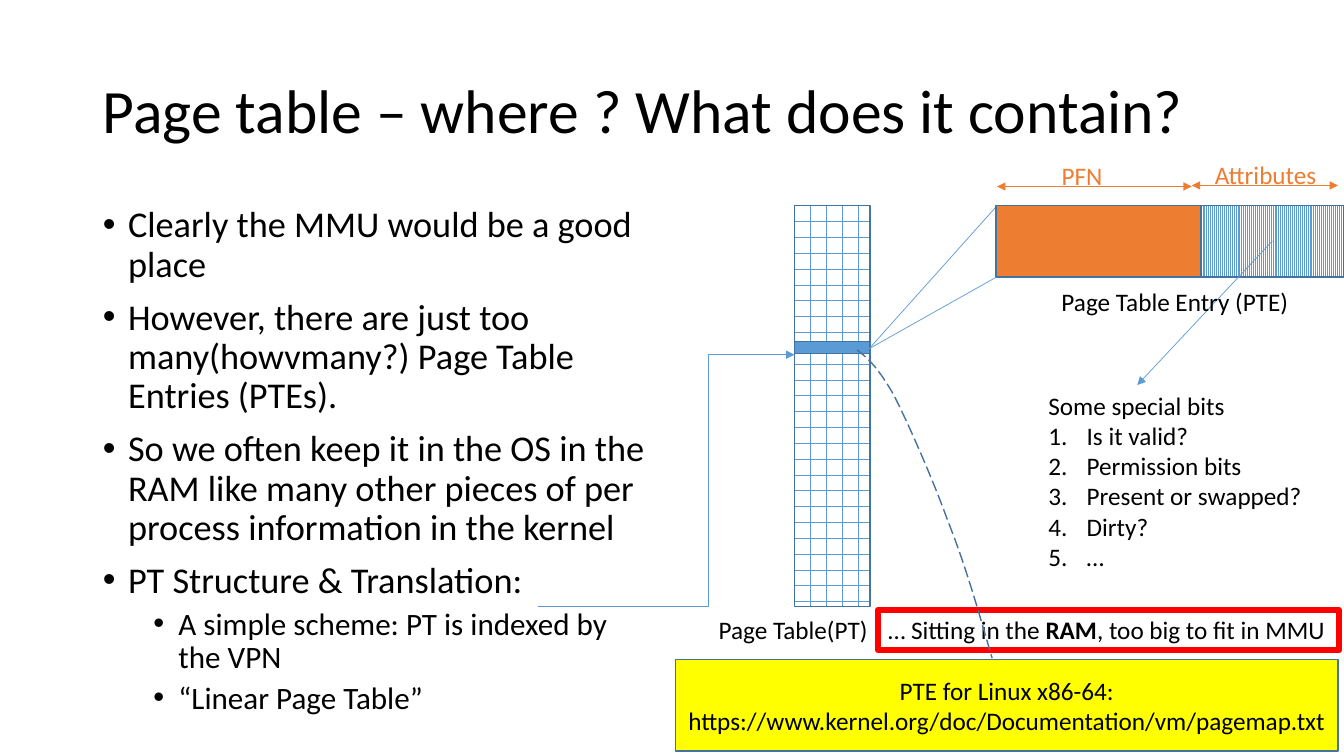
from dataclasses import dataclass

from lxml import etree
from pptx import Presentation
from pptx.dml.color import RGBColor
from pptx.enum import dml, shapes, text
from pptx.oxml import ns
from pptx.util import Inches, Pt


@dataclass(frozen=True)
class Theme:
    font: str = "Calibri"
    black: str = "000000"
    white: str = "FFFFFF"
    blue: str = "5B9BD5"
    outline: str = "43739E"
    orange: str = "ED7D31"
    yellow: str = "FFFF00"
    red: str = "FF0000"
    title: float = 44
    bullet: float = 25.9
    sub_bullet: float = 22.2
    label: float = 18
    thin: float = 0.5
    border: float = 1
    heavy: float = 4.5


THEME = Theme()
BULLETS = [
    (0, "Clearly the MMU would be a good place"),
    (0, "However, there are just too many(howvmany?) Page Table Entries (PTEs)."),
    (0, "So we often keep it in the OS in the RAM like many other pieces of per "
        "process information in the kernel"),
    (0, "PT Structure & Translation:"),
    (1, "A simple scheme: PT is indexed by the VPN"),
    (1, "“Linear Page Table”"),
]
SPECIAL_BITS = ["Is it valid?", "Permission bits", "Present or swapped?", "Dirty?", "…"]
LINK_CURVE = [
    ((8.5, 3.47), (8.6, 3.55), (8.7, 3.63), (8.86, 3.91)),
    ((8.86, 3.91), (9.01, 4.2), (9.25, 4.75), (9.41, 5.19)),
    ((9.41, 5.19), (9.58, 5.62), (9.71, 6.08), (9.84, 6.53)),
]


def inches(values):
    return [Inches(value) for value in values]


def add_xml(parent, tag, **attributes):
    return etree.SubElement(parent, ns.qn(tag), **attributes)


def write(paragraph, wording, size=THEME.label, color=THEME.black, bold=False,
          align=text.PP_ALIGN.LEFT):
    paragraph.alignment = align
    run = paragraph.add_run()
    run.text = wording
    run.font.name = THEME.font
    run.font.size = Pt(size)
    run.font.bold = bold
    run.font.color.rgb = RGBColor.from_string(color)


def set_marker(paragraph, tag, indent, hanging, **attributes):
    """Give a paragraph a bullet or number with a hanging indent in inches."""
    properties = paragraph._p.get_or_add_pPr()
    properties.set("marL", str(Inches(indent)))
    properties.set("indent", str(-Inches(hanging)))
    if tag == "a:buChar":
        add_xml(properties, "a:buFont", typeface="Arial")
    add_xml(properties, tag, **attributes)


def next_paragraph(frame, index):
    return frame.add_paragraph() if index else frame.paragraphs[0]


def place(shape, box):
    shape.left, shape.top, shape.width, shape.height = inches(box)


def set_line(line, color, width):
    line.color.rgb = RGBColor.from_string(color)
    line.width = Pt(width)


def add_label(slide, box, wording, color=THEME.black):
    label = slide.shapes.add_textbox(*inches(box))
    frame = label.text_frame
    frame.word_wrap = False
    write(frame.paragraphs[0], wording, color=color)
    return frame


def add_box(slide, box, fill=None, pattern=None, line=THEME.outline, width=THEME.border):
    rectangle = slide.shapes.add_shape(shapes.MSO_SHAPE.RECTANGLE, *inches(box))
    rectangle.shadow.inherit = False
    set_line(rectangle.line, line, width)
    if pattern:
        rectangle.fill.patterned()
        rectangle.fill.pattern = pattern
        rectangle.fill.fore_color.rgb = RGBColor.from_string(fill)
        rectangle.fill.back_color.rgb = RGBColor.from_string(THEME.white)
    elif fill:
        rectangle.fill.solid()
        rectangle.fill.fore_color.rgb = RGBColor.from_string(fill)
    else:
        rectangle.fill.background()
    return rectangle


def add_line(slide, start, end, color=THEME.blue, arrows=(), bend=None):
    """Draw a connector; bend is the elbow's place in thousandths of a percent."""
    kind = shapes.MSO_CONNECTOR.ELBOW if bend else shapes.MSO_CONNECTOR.STRAIGHT
    connector = slide.shapes.add_connector(kind, *inches(start + end))
    set_line(connector.line, color, THEME.thin)
    for arrow in arrows:
        add_xml(connector.line._get_or_add_ln(), arrow, type="triangle")
    properties = connector._element.spPr
    add_xml(properties, "a:effectLst")
    if bend:
        adjustments = properties.find(ns.qn("a:prstGeom")).find(ns.qn("a:avLst"))
        add_xml(adjustments, "a:gd", name="adj1", fmla=f"val {bend}")


def add_dashed_curve(slide, segments, steps=8):
    def point(segment, t):
        weights = ((1 - t) ** 3, 3 * t * (1 - t) ** 2, 3 * t * t * (1 - t), t ** 3)
        return tuple(Inches(sum(w * p[axis] for w, p in zip(weights, segment)))
                     for axis in (0, 1))

    points = [point(segment, step / steps)
              for segment in segments for step in range(1, steps + 1)]
    builder = slide.shapes.build_freeform(*inches(segments[0][0]))
    builder.add_line_segments(points, close=False)
    curve = builder.convert_to_shape()
    curve.shadow.inherit = False
    curve.fill.background()
    set_line(curve.line, THEME.outline, THEME.border)
    curve.line.dash_style = dml.MSO_LINE.LONG_DASH


def fill_title(title):
    place(title, (0.92, 0.4, 11.5, 1.45))
    frame = title.text_frame
    frame.auto_size = text.MSO_AUTO_SIZE.NONE
    frame.vertical_anchor = text.MSO_ANCHOR.MIDDLE
    frame.paragraphs[0].line_spacing = 0.9
    write(frame.paragraphs[0], "Page table – where ? What does it contain?", size=THEME.title)


def fill_body(body):
    place(body, (0.92, 2, 5.65, 5.24))
    frame = body.text_frame
    frame.auto_size = text.MSO_AUTO_SIZE.NONE
    for index, (level, wording) in enumerate(BULLETS):
        paragraph = next_paragraph(frame, index)
        paragraph.level = level
        paragraph.line_spacing = 0.9
        paragraph.space_before = Pt((5 if level else 10) if index else 0)
        set_marker(paragraph, "a:buChar", 0.25 + 0.5 * level, 0.25, char="•")
        write(paragraph, wording, size=THEME.sub_bullet if level else THEME.bullet)


def add_ram_note(slide):
    note = add_box(slide, (8.71, 6.05, 4.57, 0.4), line=THEME.red, width=THEME.heavy)
    note.text_frame.word_wrap = False
    note.text_frame.vertical_anchor = text.MSO_ANCHOR.TOP
    paragraph = note.text_frame.paragraphs[0]
    write(paragraph, "… Sitting in the ")
    write(paragraph, "RAM", bold=True)
    write(paragraph, ", too big to fit in MMU")


def add_page_table(slide):
    add_box(slide, (7.88, 2.04, 0.75, 3.98), THEME.blue, dml.MSO_PATTERN.DOTTED_GRID)
    add_line(slide, (5.34, 6.02), (7.88, 3.52), arrows=["a:tailEnd"], bend=66200)
    add_box(slide, (7.88, 3.39, 0.75, 0.12), THEME.blue)
    add_label(slide, (7.03, 6.05, 1.7, 0.4), "Page Table(PT)")


def add_table_entry(slide):
    both_ends = ["a:headEnd", "a:tailEnd"]
    add_line(slide, (8.62, 3.46), (9.89, 2.04))
    add_box(slide, (9.88, 2.04, 3.46, 0.71), THEME.orange)
    add_line(slide, (9.88, 2.75), (8.62, 3.46))
    add_line(slide, (9.89, 1.85), (11.82, 1.85), THEME.orange, both_ends)
    add_label(slide, (10.43, 1.54, 0.61, 0.4), "PFN", THEME.orange)
    add_box(slide, (11.91, 2.04, 1.42, 0.71), THEME.blue, dml.MSO_PATTERN.LIGHT_VERTICAL)
    add_line(slide, (12.62, 2.39), (11.28, 3.82), arrows=["a:tailEnd"])
    add_label(slide, (10.43, 2.79, 2.47, 0.4), "Page Table Entry (PTE)")
    add_line(slide, (11.82, 1.84), (13.27, 1.84), THEME.orange, both_ends)
    add_label(slide, (11.95, 1.53, 1.22, 0.4), "Attributes", THEME.orange)


def add_special_bits(slide):
    frame = add_label(slide, (10.3, 3.82, 2.74, 2.22), "Some special bits")
    for wording in SPECIAL_BITS:
        paragraph = frame.add_paragraph()
        set_marker(paragraph, "a:buAutoNum", 0.38, 0.38, type="arabicPeriod")
        write(paragraph, wording)


def add_linux_link(slide):
    box = add_box(slide, (6.7, 6.54, 6.57, 0.91), THEME.yellow)
    box.text_frame.word_wrap = True
    write(box.text_frame.paragraphs[0], "PTE for Linux x86-64: "
          "https://www.kernel.org/doc/Documentation/vm/pagemap.txt",
          align=text.PP_ALIGN.CENTER)
    add_dashed_curve(slide, LINK_CURVE)


def main():
    presentation = Presentation()
    presentation.slide_width, presentation.slide_height = inches((13.33, 7.5))
    slide = presentation.slides.add_slide(presentation.slide_layouts[1])
    fill_title(slide.shapes.title)
    fill_body(slide.placeholders[1])
    add_ram_note(slide)
    add_page_table(slide)
    add_table_entry(slide)
    add_special_bits(slide)
    add_linux_link(slide)
    presentation.save("out.pptx")


if __name__ == "__main__":
    main()
